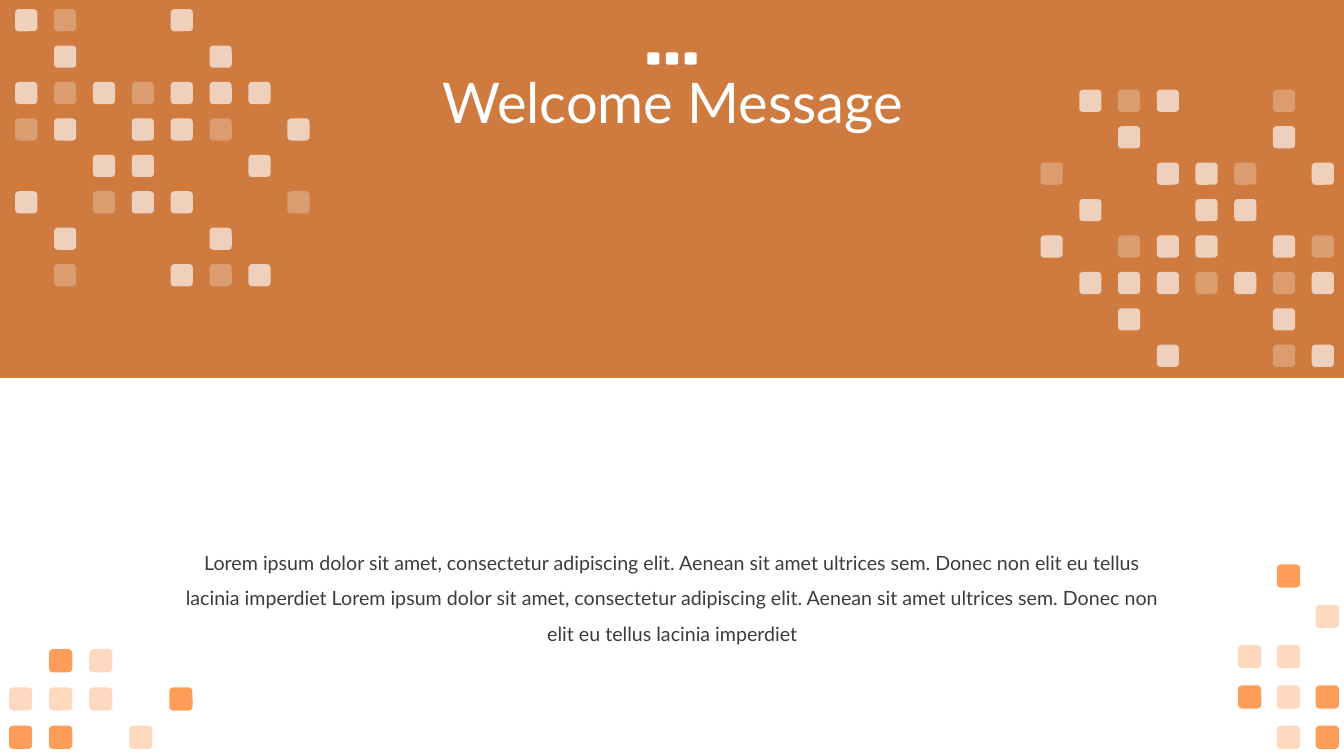
from lxml import etree
from pptx import Presentation
from pptx.dml.color import RGBColor
from pptx.enum import shapes, text
from pptx.oxml import ns
from pptx.util import Inches, Pt

# Each mark in a pattern stands for one tile; the value is its opacity in percent
OPACITY = {"@": 100, "#": 65, "o": 25}

BANNER_LEFT = ["#o..#...", ".#...#..", "#o#o###.", "o#.##o.#",
               "..##..#.", "#.o##..o", ".#...#..", ".o..#o#."]
BANNER_RIGHT = [".#o#..o.", "..#...#.", "o..##o.#", ".#..##..",
                "#.o##.#o", ".###o#o#", "..#...#.", "...#..o#"]
CORNER_LEFT = [".#o..", "ooo.#", "##.o."]
CORNER_RIGHT = [".#.", "..o", "oo.", "#o#", ".o#"]

MESSAGE = (
    "Lorem ipsum dolor sit amet, consectetur adipiscing elit. Aenean sit amet "
    "ultrices sem. Donec non elit eu tellus lacinia imperdiet Lorem ipsum dolor "
    "sit amet, consectetur adipiscing elit. Aenean sit amet ultrices sem. Donec "
    "non elit eu tellus lacinia imperdiet"
)


def color(hex_string):
    return RGBColor.from_string(hex_string)


class SlideBuilder:
    font_name = "Lato"
    white, ink, rust, orange = "FFFFFF", "3C3C3C", "BF4F01", "FE6902"

    def __init__(self, slide):
        self.slide = slide

    def block(self, parent, kind, left, top, width, height, fill, opacity):
        shape = parent.add_shape(kind, Inches(left), Inches(top),
                                 Inches(width), Inches(height))
        shape.shadow.inherit = False
        shape.line.fill.background()
        shape.fill.solid()
        shape.fill.fore_color.rgb = color(fill)
        if opacity < 100:
            rgb = shape.element.spPr.find(".//" + ns.qn("a:srgbClr"))
            etree.SubElement(rgb, ns.qn("a:alpha"), val=str(opacity * 1000))
        return shape

    def banner(self, width, height):
        shape = self.block(self.slide.shapes, shapes.MSO_SHAPE.RECTANGLE,
                           0, 0, width, height, self.rust, 75)
        self.slide.shapes.title.element.addprevious(shape.element)

    def tiles(self, pattern, left, top, right, bottom, size, fill):
        """Spread tiles evenly; right and bottom place the last column and row."""
        group = self.slide.shapes.add_group_shape()
        column_step = (right - left) / max(len(pattern[0]) - 1, 1)
        row_step = (bottom - top) / max(len(pattern) - 1, 1)
        for row, marks in enumerate(pattern):
            for column, mark in enumerate(marks):
                if mark in OPACITY:
                    self.block(group.shapes, shapes.MSO_SHAPE.ROUNDED_RECTANGLE,
                               left + column * column_step, top + row * row_step,
                               size, size, fill, OPACITY[mark])

    def set_words(self, shape, words, size, ink, line_spacing):
        frame = shape.text_frame
        frame.word_wrap = True
        frame.text = words
        paragraph = frame.paragraphs[0]
        paragraph.alignment = text.PP_ALIGN.CENTER
        paragraph.line_spacing = line_spacing
        paragraph.font.name = self.font_name
        paragraph.font.size = Pt(size)
        paragraph.font.color.rgb = color(ink)
        return frame

    def title(self, words, left, top, width, height):
        shape = self.slide.shapes.title
        shape.left, shape.top = Inches(left), Inches(top)
        shape.width, shape.height = Inches(width), Inches(height)
        frame = self.set_words(shape, words, 40, self.white, 0.9)
        frame.vertical_anchor = text.MSO_ANCHOR.MIDDLE

    def body(self, words, left, top, width, height):
        shape = self.slide.shapes.add_textbox(Inches(left), Inches(top),
                                              Inches(width), Inches(height))
        frame = self.set_words(shape, words, 14, self.ink, 1.5)
        frame.auto_size = text.MSO_AUTO_SIZE.SHAPE_TO_FIT_TEXT


def main():
    presentation = Presentation()
    presentation.slide_width = Inches(13.33)
    presentation.slide_height = Inches(7.5)
    title_only = presentation.slide_layouts[5]
    builder = SlideBuilder(presentation.slides.add_slide(title_only))

    # Banner and wording
    builder.banner(13.33, 3.75)
    builder.title("Welcome Message", 0.92, 0.32, 11.5, 1.45)
    builder.body(MESSAGE, 1.74, 5.3, 9.86, 1.11)

    # Three dots above the title
    builder.tiles(["@@@"], 6.42, 0.52, 6.79, 0.52, 0.12, builder.white)

    # Tile patterns on the banner
    builder.tiles(BANNER_LEFT, 0.15, 0.09, 2.85, 2.62, 0.22, builder.white)
    builder.tiles(BANNER_RIGHT, 10.32, 0.89, 13.01, 3.42, 0.22, builder.white)

    # Tile patterns in the lower corners
    builder.tiles(CORNER_LEFT, 0.09, 6.44, 1.68, 7.2, 0.23, builder.orange)
    builder.tiles(CORNER_RIGHT, 12.28, 5.6, 13.05, 7.2, 0.23, builder.orange)

    presentation.save("out.pptx")


if __name__ == "__main__":
    main()
